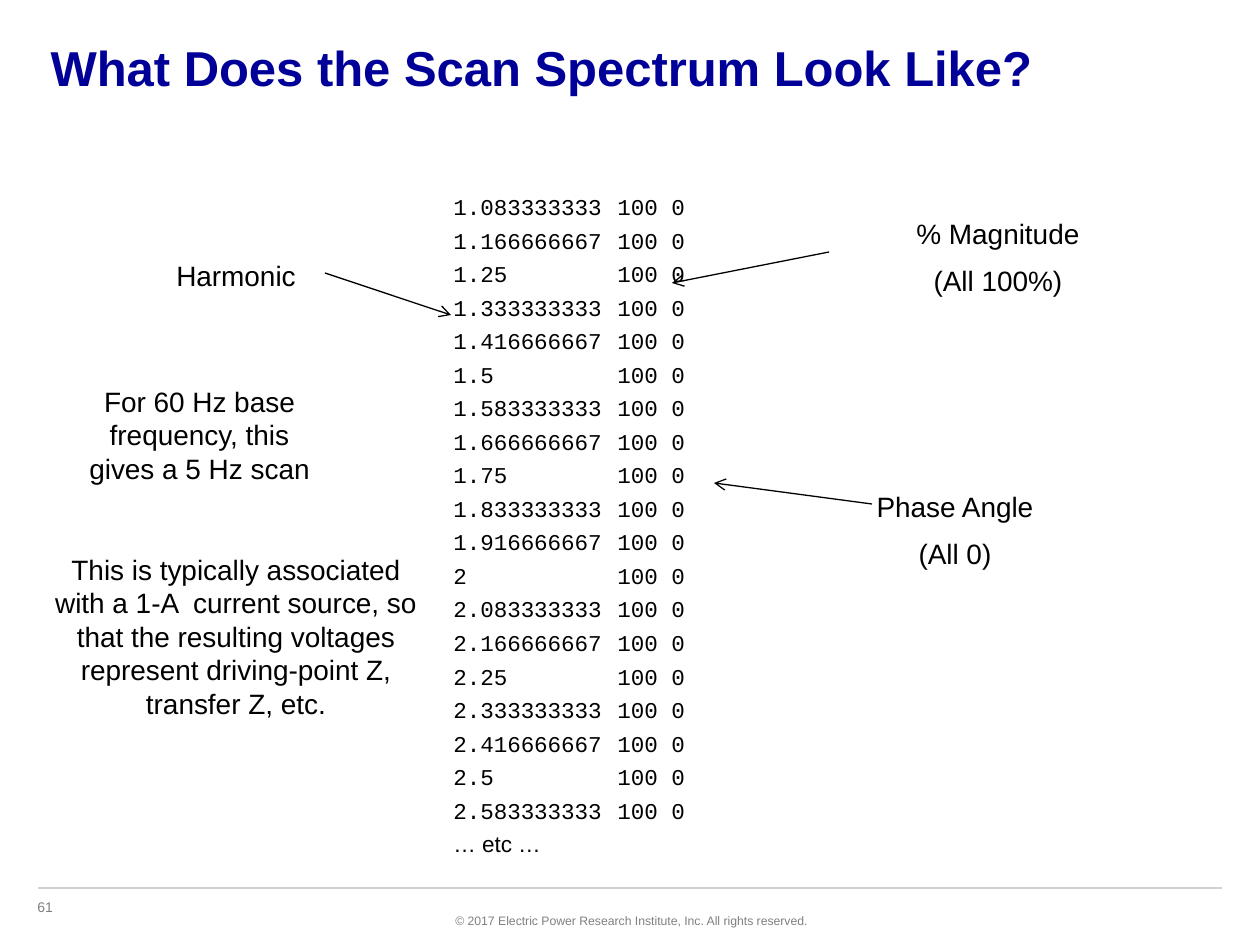
from dataclasses import dataclass

from lxml import etree
from pptx import Presentation
from pptx import util as u
from pptx.dml.color import RGBColor
from pptx.enum import shapes, text
from pptx.oxml import ns

PX_PER_INCH = 126
BLACK, GREY, RULE_GREY, NAVY = "000000", "808080", "D1D1D1", "000099"
LEFT, CENTER, RIGHT = text.PP_ALIGN.LEFT, text.PP_ALIGN.CENTER, text.PP_ALIGN.RIGHT


@dataclass(frozen=True)
class Note:
    left: int
    top: int
    width: int
    height: int
    lines: tuple[str, ...]


@dataclass(frozen=True)
class Arrow:
    start: tuple[int, int]
    end: tuple[int, int]


NOTES = (
    Note(63, 378, 273, 115, ("For 60 Hz base frequency, this gives a 5 Hz scan",)),
    Note(157, 252, 158, 47, ("Harmonic",)),
    Note(872, 210, 252, 97, ("% Magnitude", "(All 100%)")),
    Note(829, 483, 252, 97, ("Phase Angle", "(All 0)")),
    Note(42, 546, 388, 183, (
        "This is typically associated with a 1-A  current source, so that the "
        "resulting voltages represent driving-point Z, transfer Z, etc.",)),
)
ARROWS = (
    Arrow((325, 273), (451, 315)),
    Arrow((829, 252), (672, 283)),
    Arrow((872, 504), (714, 483)),
)


def px(length: int) -> int:
    return u.Inches(length / PX_PER_INCH)


def color(hex_value: str) -> RGBColor:
    return RGBColor.from_string(hex_value)


def write(paragraph, content: str, *, size: float, font="Arial", fill=BLACK,
          bold=False, align=LEFT, before=0, after=0, line_spacing=1.0) -> None:
    paragraph.alignment = align
    paragraph.space_before = u.Pt(before)
    paragraph.space_after = u.Pt(after)
    paragraph.line_spacing = line_spacing
    run = paragraph.add_run()
    run.text = content
    run.font.name = font
    run.font.size = u.Pt(size)
    run.font.bold = bold
    run.font.color.rgb = color(fill)


def add_text(slide, left: int, top: int, width: int, height: int,
             lines: tuple[str, ...], *, wrap=True, gap=0, **text_format) -> None:
    """Add a text box with one paragraph per line and a gap in points between them."""
    frame = slide.shapes.add_textbox(px(left), px(top), px(width), px(height)).text_frame
    frame.word_wrap = wrap
    for index, line in enumerate(lines):
        paragraph = frame.add_paragraph() if index else frame.paragraphs[0]
        write(paragraph, line, before=gap if index else 0, **text_format)


def add_line(slide, start: tuple[int, int], end: tuple[int, int], *,
             fill=BLACK, arrowhead=False) -> None:
    line = slide.shapes.add_connector(
        shapes.MSO_CONNECTOR.STRAIGHT, *map(px, start + end))
    line.line.color.rgb = color(fill)
    line.line.width = u.Pt(0.75)
    if arrowhead:
        etree.SubElement(line.line._get_or_add_ln(), ns.qn("a:tailEnd"), type="arrow")
    etree.SubElement(line._element.spPr, ns.qn("a:effectLst"))


def add_title(slide, content: str) -> None:
    title = slide.shapes.title
    title.left, title.top, title.width, title.height = map(px, (38, 25, 1184, 101))
    frame = title.text_frame
    frame.vertical_anchor = text.MSO_ANCHOR.TOP
    frame.margin_top = px(12)
    write(frame.paragraphs[0], content, size=28, fill=NAVY, bold=True)


def add_spectrum(slide) -> None:
    """List each harmonic in steps of 5 Hz on a 60 Hz base, then magnitude and angle."""
    frame = slide.shapes.add_textbox(px(441), px(191), px(745), px(680)).text_frame
    frame.word_wrap = True
    row_format = dict(size=12.9, after=6, line_spacing=0.85)
    paragraph = frame.paragraphs[0]
    for step in range(13, 32):
        tabs = etree.SubElement(paragraph._p.get_or_add_pPr(), ns.qn("a:tabLst"))
        etree.SubElement(tabs, ns.qn("a:tab"), pos=str(px(164)), algn="l")
        write(paragraph, f"{step / 12:.10g}\t100 0", font="Courier New", **row_format)
        paragraph = frame.add_paragraph()
    write(paragraph, "… etc …", **row_format)


def main() -> None:
    presentation = Presentation()
    presentation.slide_width, presentation.slide_height = u.Inches(10), u.Inches(7.5)
    slide = presentation.slides.add_slide(presentation.slide_layouts[5])

    add_title(slide, "What Does the Scan Spectrum Look Like?")
    add_text(slide, 25, 892, 83, 30, ("61",), size=8, fill=GREY)
    add_line(slide, (38, 888), (1222, 888), fill=RULE_GREY)
    add_text(slide, 440, 907, 380, 28,
             ("© 2017 Electric Power Research Institute, Inc. All rights reserved.",),
             wrap=False, size=7, fill=GREY, align=RIGHT)
    add_spectrum(slide)
    for note in NOTES:
        add_text(slide, note.left, note.top, note.width, note.height, note.lines,
                 size=16, align=CENTER, gap=8)
    for arrow in ARROWS:
        add_line(slide, arrow.start, arrow.end, arrowhead=True)

    presentation.save("out.pptx")


if __name__ == "__main__":
    main()
